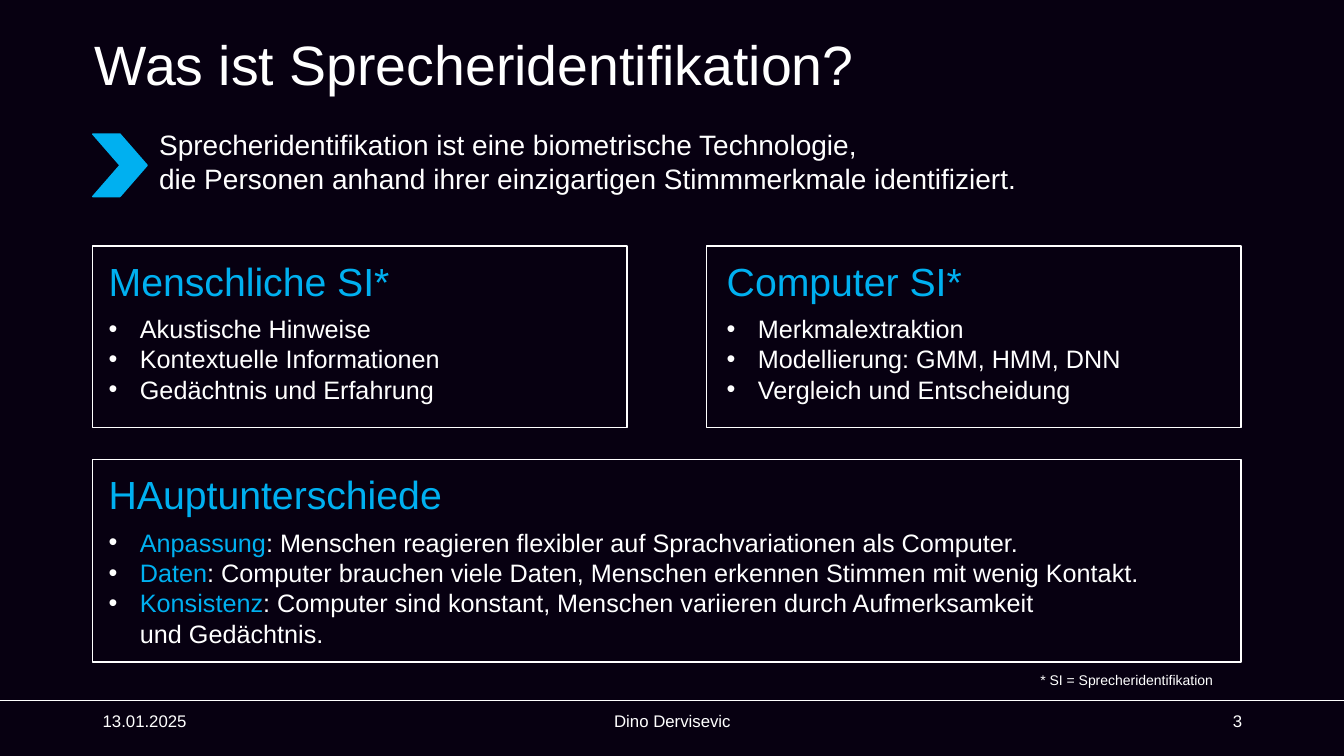
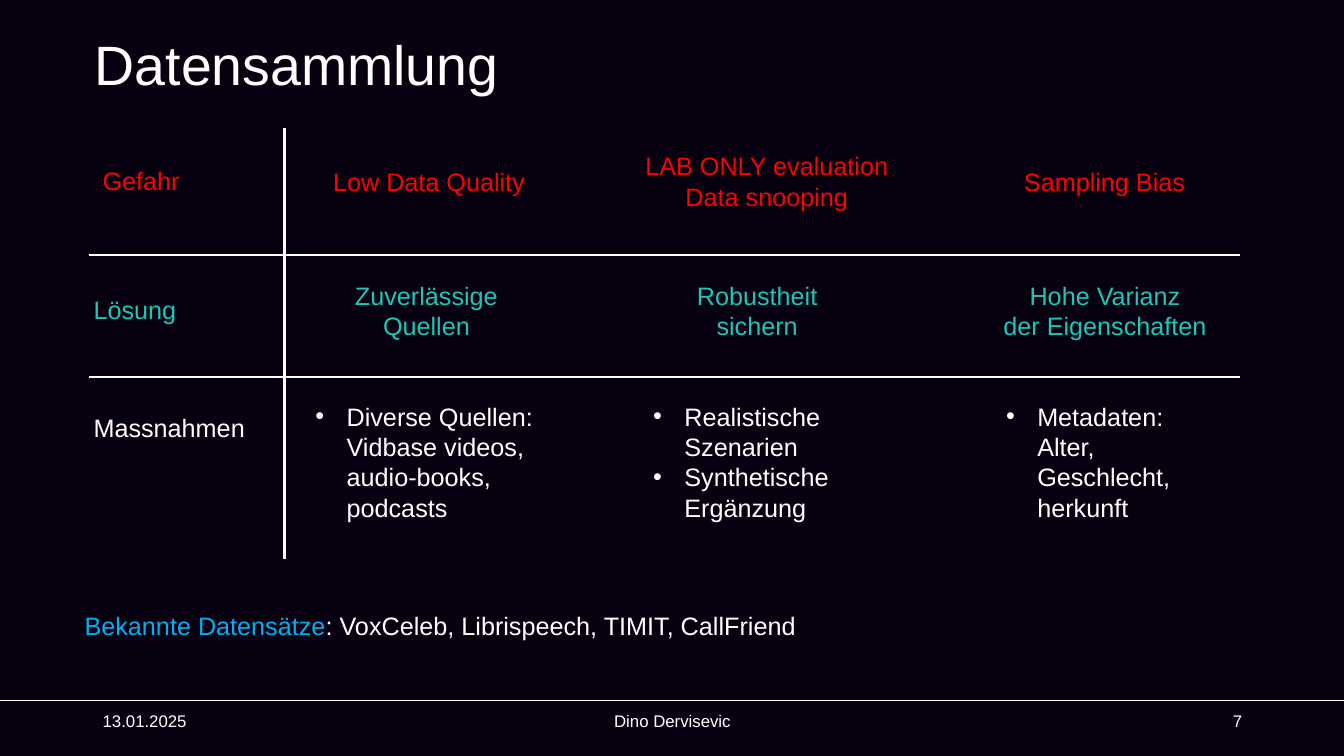
from lxml.etree import SubElement
from pptx import Presentation
from pptx.dml.color import RGBColor
from pptx.enum.shapes import MSO_CONNECTOR as Connector, MSO_SHAPE as Preset
from pptx.enum.text import MSO_ANCHOR as Anchor, MSO_AUTO_SIZE as AutoSize, PP_ALIGN as Align
from pptx.oxml.ns import qn
from pptx.util import Inches, Pt

BACKGROUND = RGBColor(0x07, 0x00, 0x11)
WHITE = RGBColor(0xFF, 0xFF, 0xFF)
BLUE = RGBColor(0x00, 0xB0, 0xF0)
TEAL = RGBColor(0x1D, 0xC7, 0xB8)
RED = RGBColor(0xFF, 0x00, 0x00)
FONT = "Arial"
SLIDE_WIDTH, SLIDE_HEIGHT = 13.33, 7.5
FOOTER_TOP = 6.95


def add_bullet(paragraph):
    properties = paragraph._p.get_or_add_pPr()
    properties.set("marL", str(Inches(0.31)))
    properties.set("indent", str(Inches(-0.31)))
    color = SubElement(properties, qn("a:buClr"))
    SubElement(color, qn("a:srgbClr"), val=str(WHITE))
    SubElement(properties, qn("a:buFont"), typeface=FONT)
    SubElement(properties, qn("a:buChar"), char="•")


def write_text(frame, paragraphs, size=18, color=WHITE, align=Align.LEFT,
               anchor=Anchor.TOP, bullet=False, spacing=None):
    """Each paragraph is a string or a list of (text, color) runs."""
    frame.word_wrap = True
    frame.auto_size = AutoSize.NONE
    frame.vertical_anchor = anchor
    for index, content in enumerate(paragraphs):
        paragraph = frame.add_paragraph() if index else frame.paragraphs[0]
        paragraph.alignment = align
        if spacing:
            paragraph.line_spacing = spacing
        if bullet:
            add_bullet(paragraph)
        runs = [(content, color)] if isinstance(content, str) else content
        for text, run_color in runs:
            for number, line in enumerate(text.split("\n")):
                if number:
                    paragraph.add_line_break()
                run = paragraph.add_run()
                run.text = line
                run.font.name = FONT
                run.font.size = Pt(size)
                run.font.color.rgb = run_color


class Deck:
    def __init__(self):
        self.presentation = Presentation()
        self.presentation.slide_width = Inches(SLIDE_WIDTH)
        self.presentation.slide_height = Inches(SLIDE_HEIGHT)
        fill = self.presentation.slide_master.background.fill
        fill.solid()
        fill.fore_color.rgb = BACKGROUND
        self.slide = None

    def start_slide(self, title, number):
        self.slide = self.presentation.slides.add_slide(self.presentation.slide_layouts[5])
        placeholder = self.slide.shapes.title
        placeholder.left, placeholder.top = Inches(0.84), Inches(0.4)
        placeholder.width, placeholder.height = Inches(11.5), Inches(0.53)
        write_text(placeholder.text_frame, [title], size=39.6, anchor=Anchor.MIDDLE, spacing=0.9)
        footers = [
            ("13.01.2025", 0.92, 3, Align.LEFT),
            ("Dino Dervisevic", 4.42, 4.5, Align.CENTER),
            (str(number), 9.42, 3, Align.RIGHT),
        ]
        for text, left, width, align in footers:
            self.text([text], left, FOOTER_TOP, width, 0.4,
                      size=12, align=align, anchor=Anchor.MIDDLE)
        self.line(0, FOOTER_TOP, SLIDE_WIDTH, FOOTER_TOP, weight=1)

    def text(self, paragraphs, left, top, width, height, **text_format):
        box = self.slide.shapes.add_textbox(
            Inches(left), Inches(top), Inches(width), Inches(height))
        write_text(box.text_frame, paragraphs, **text_format)

    def line(self, start_x, start_y, end_x, end_y, weight=2):
        connector = self.slide.shapes.add_connector(
            Connector.STRAIGHT, Inches(start_x), Inches(start_y), Inches(end_x), Inches(end_y))
        connector.line.color.rgb = WHITE
        connector.line.width = Pt(weight)
        SubElement(connector._element.spPr, qn("a:effectLst"))

    def shape(self, preset, left, top, width, height, line, fill=None):
        shape = self.slide.shapes.add_shape(
            preset, Inches(left), Inches(top), Inches(width), Inches(height))
        shape.shadow.inherit = False
        if fill is None:
            shape.fill.background()
        else:
            shape.fill.solid()
            shape.fill.fore_color.rgb = fill
        shape.line.color.rgb = line
        shape.line.width = Pt(1)

    def panel(self, heading, items, left, top, width, height, inset=0.06):
        self.shape(Preset.RECTANGLE, left, top, width, height, line=WHITE)
        text_left, text_width = left + inset, width - inset
        self.text([heading], text_left, top + 0.06, text_width, 0.57, size=28, color=BLUE)
        self.text(items, text_left, top + 0.62, text_width, height - 0.62, bullet=True)


def build_definition(deck):
    deck.start_slide("Was ist Sprecheridentifikation?", 3)
    deck.shape(Preset.CHEVRON, 0.92, 1.33, 0.54, 0.62, line=BLUE, fill=BLUE)
    deck.text(["Sprecheridentifikation ist eine biometrische Technologie,\n"
               "die Personen anhand ihrer einzigartigen Stimmmerkmale identifiziert."],
              1.48, 1.22, 10.84, 0.77, size=20)
    deck.panel("Menschliche SI*",
               ["Akustische Hinweise", "Kontextuelle Informationen", "Gedächtnis und Erfahrung"],
               0.92, 2.44, 5.3, 1.8)
    deck.panel("Computer SI*",
               ["Merkmalextraktion", "Modellierung: GMM, HMM, DNN", "Vergleich und Entscheidung"],
               7.01, 2.44, 5.3, 1.8, inset=0.1)
    differences = [
        ("Anpassung", "Menschen reagieren flexibler auf Sprachvariationen als Computer."),
        ("Daten", "Computer brauchen viele Daten, Menschen erkennen Stimmen mit wenig Kontakt."),
        ("Konsistenz", "Computer sind konstant, Menschen variieren durch Aufmerksamkeit\n"
                       "und Gedächtnis."),
    ]
    deck.panel("HAuptunterschiede",
               [[(term, BLUE), (": " + detail, WHITE)] for term, detail in differences],
               0.92, 4.56, 11.39, 2.01)
    deck.text(["* SI = Sprecheridentifikation"], 10.22, 6.61, 2.2, 0.27, size=10)


def build_data_collection(deck):
    deck.start_slide("Datensammlung", 7)
    for row_line in (2.53, 3.74):
        deck.line(0.88, row_line, 12.3, row_line)
    deck.line(2.82, 1.27, 2.82, 5.55)
    row_labels = [("Gefahr", 0.92, 1.59, RED), ("Lösung", 0.83, 2.87, TEAL),
                  ("Massnahmen", 0.83, 4.04, WHITE)]
    for label, left, top, color in row_labels:
        deck.text([label], left, top, 1.9, 0.4, color=color)
    columns = [
        (["Low Data Quality"], "Zuverlässige\nQuellen", 2.93,
         ["Diverse Quellen:\nVidbase videos,\naudio-books,\npodcasts"], 3.03),
        (["LAB ONLY evaluation", "Data snooping"], "Robustheit\nsichern", 6.21,
         ["Realistische\nSzenarien", "Synthetische\nErgänzung"], 6.38),
        (["Sampling Bias"], "Hohe Varianz\nder Eigenschaften", 9.66,
         ["Metadaten:\nAlter,\nGeschlecht, herkunft"], 9.88),
    ]
    for index, (dangers, solution, solution_left, measures, measures_left) in enumerate(columns):
        deck.text(dangers, 2.88 + 3.35 * index, 1.44, 2.75, 0.71,
                  color=RED, align=Align.CENTER, anchor=Anchor.MIDDLE)
        deck.text([solution], solution_left, 2.73, 2.6, 0.71, color=TEAL, align=Align.CENTER)
        deck.text(measures, measures_left, 3.93, 2.6, 1.62, bullet=True)
    deck.text([[("Bekannte Datensätze", BLUE),
                (": VoxCeleb, Librispeech, TIMIT, CallFriend", WHITE)]], 0.74, 6.01, 8.09, 0.71)


def main():
    deck = Deck()
    build_definition(deck)
    build_data_collection(deck)
    deck.presentation.save("out.pptx")


if __name__ == "__main__":
    main()
